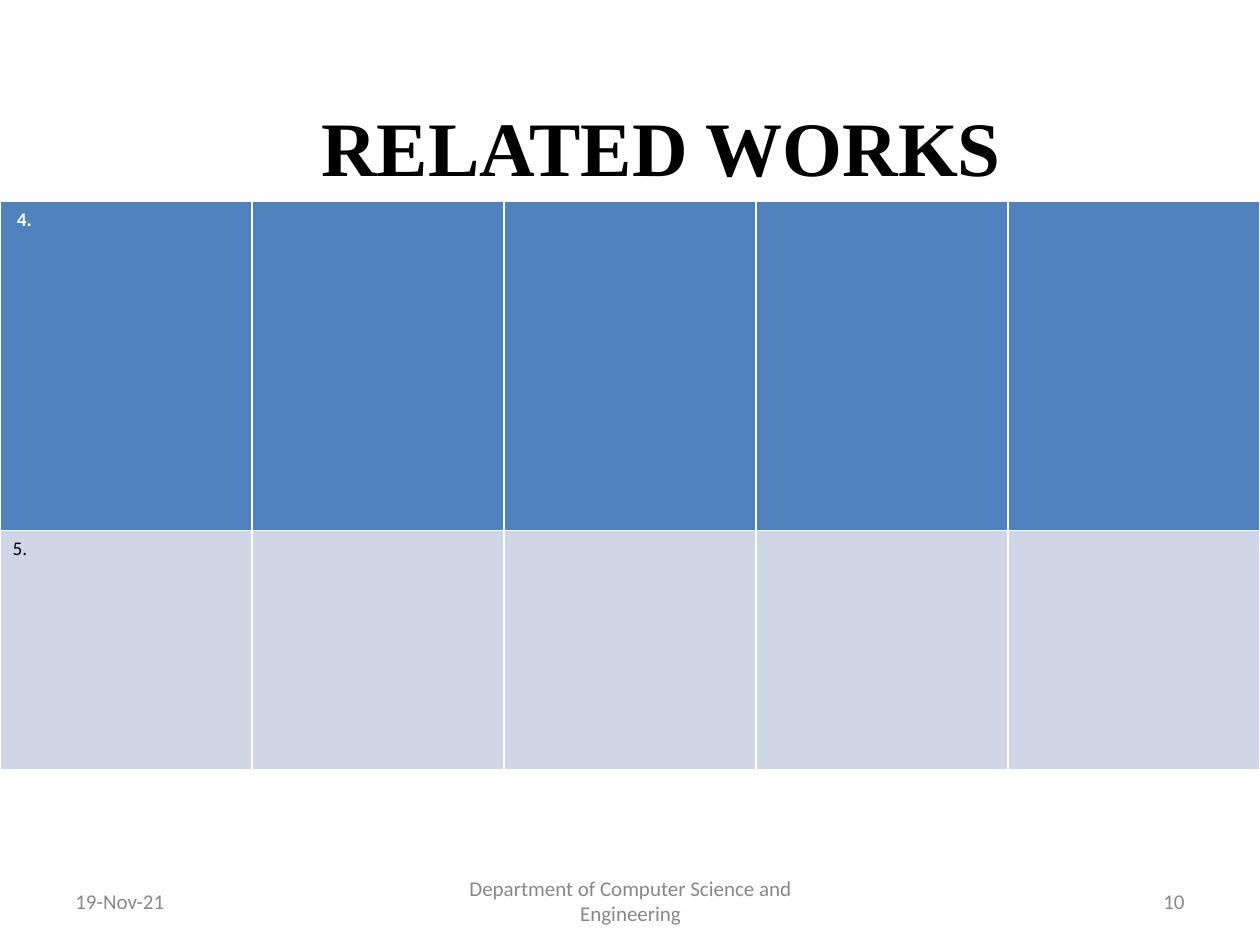
from pptx import Presentation
from pptx.dml.color import RGBColor
from pptx.enum.text import MSO_ANCHOR, MSO_AUTO_SIZE, PP_ALIGN
from pptx.util import Inches, Pt

BLACK = RGBColor(0x00, 0x00, 0x00)
WHITE = RGBColor(0xFF, 0xFF, 0xFF)
GREY = RGBColor(0x88, 0x88, 0x88)
HEADER_BLUE = RGBColor(0x4F, 0x81, 0xBD)
BAND_BLUE = RGBColor(0xCF, 0xD7, 0xE7)


def write(frame, text, color, align=PP_ALIGN.LEFT, **font_format):
    frame.text = text
    paragraph = frame.paragraphs[0]
    paragraph.alignment = align
    font = paragraph.runs[0].font
    font.color.rgb = color
    for name, value in font_format.items():
        setattr(font, name, value)


prs = Presentation()
prs.slide_width, prs.slide_height = Inches(10), Inches(7.5)
slide = prs.slides.add_slide(prs.slide_layouts[5])

# Title
heading = slide.shapes.title
heading_place = {"left": 2.45, "top": 0.74, "width": 5.71, "height": 0.84}
for side, length in heading_place.items():
    setattr(heading, side, Inches(length))
heading.text_frame.vertical_anchor = MSO_ANCHOR.TOP
heading.text_frame.auto_size = MSO_AUTO_SIZE.SHAPE_TO_FIT_TEXT
write(heading.text_frame, "RELATED WORKS", BLACK,
      name="Times New Roman", size=Pt(44), bold=True)

# Table of works: five equal columns across the slide
work_rows = [
    (" 4.", 2.61, HEADER_BLUE, WHITE, True),
    ("5.", 1.9, BAND_BLUE, BLACK, False),
]
column_count = 5
works = slide.shapes.add_table(
    len(work_rows), column_count, 0, Inches(1.6), prs.slide_width, Inches(4.51)
).table
for row, (number, height, fill, color, bold) in zip(works.rows, work_rows):
    row.height = Inches(height)
    for cell in row.cells:
        cell.fill.solid()
        cell.fill.fore_color.rgb = fill
    write(row.cells[0].text_frame, number, color,
          name="Calibri", size=Pt(11), bold=bold)

# Footer
footer_parts = [
    ("19-Nov-21", 0.5, 2.33, PP_ALIGN.LEFT),
    ("Department of Computer Science and Engineering", 3.42, 3.17, PP_ALIGN.CENTER),
    ("10", 7.17, 2.33, PP_ALIGN.RIGHT),
]
for text, left, width, align in footer_parts:
    footer = slide.shapes.add_textbox(
        Inches(left), Inches(6.95), Inches(width), Inches(0.4)).text_frame
    footer.word_wrap = True
    footer.vertical_anchor = MSO_ANCHOR.MIDDLE
    write(footer, text, GREY, align, name="Calibri", size=Pt(12))

prs.save("out.pptx")
